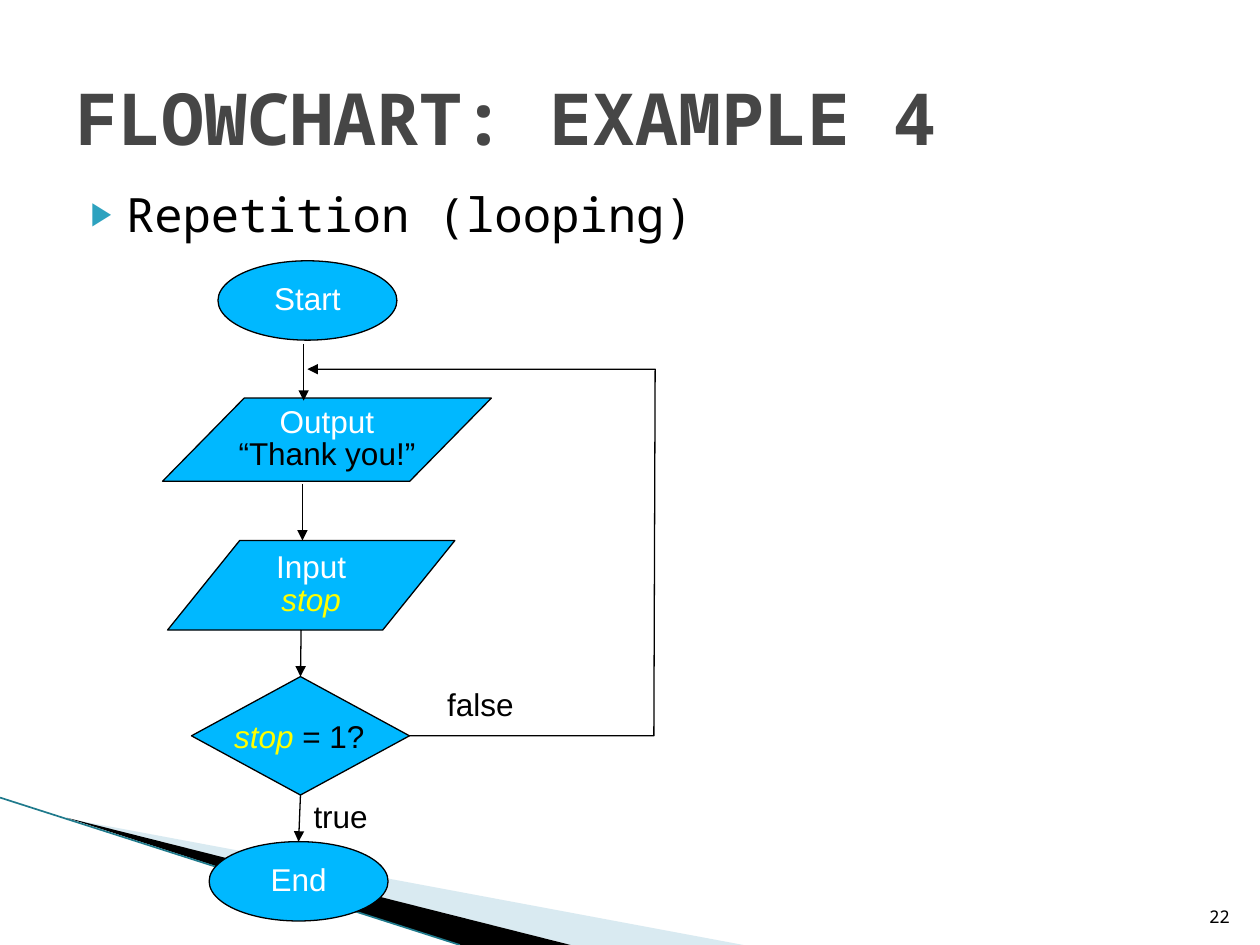
from lxml import etree
from pptx import Presentation
from pptx.dml.color import RGBColor
from pptx.enum.shapes import MSO_CONNECTOR, MSO_SHAPE
from pptx.enum.text import MSO_ANCHOR, PP_ALIGN
from pptx.oxml.ns import qn
from pptx.util import Inches, Pt

STRAIGHT = MSO_CONNECTOR.STRAIGHT
OVAL, DIAMOND, PARALLELOGRAM = MSO_SHAPE.OVAL, MSO_SHAPE.DIAMOND, MSO_SHAPE.PARALLELOGRAM
LEFT, CENTER, RIGHT = PP_ALIGN.LEFT, PP_ALIGN.CENTER, PP_ALIGN.RIGHT
MIDDLE, BOTTOM, TOP = MSO_ANCHOR.MIDDLE, MSO_ANCHOR.BOTTOM, MSO_ANCHOR.TOP
BLACK = RGBColor(0x00, 0x00, 0x00)
WHITE = RGBColor(0xFF, 0xFF, 0xFF)
YELLOW = RGBColor(0xFF, 0xFF, 0x00)
BLUE = RGBColor(0x00, 0xB8, 0xFF)
GREY = RGBColor(0x46, 0x46, 0x46)
PALE_BLUE = RGBColor(0xA0, 0xCB, 0xDC)
TEAL = RGBColor(0x1F, 0x7A, 0x8C)
MONO, SANS = "Noto Sans Mono", "Arial"


def add_run(paragraph, text, font, size, color, bold=False, italic=False):
    run = paragraph.add_run()
    run.text = text
    run.font.name = font
    run.font.size = Pt(size)
    run.font.color.rgb = color
    run.font.bold = bold
    run.font.italic = italic


def style_line(shape, color, width, arrow=False):
    shape.line.color.rgb = color
    shape.line.width = Pt(width)
    properties = shape._element.spPr
    if arrow:
        etree.SubElement(properties.find(qn("a:ln")), qn("a:tailEnd"), type="triangle")
    if properties.find(qn("a:effectLst")) is None:
        etree.SubElement(properties, qn("a:effectLst"))


presentation = Presentation()
presentation.slide_width = Inches(10)
presentation.slide_height = Inches(7.5)
slide = presentation.slides.add_slide(presentation.slide_layouts[1])
shapes = slide.shapes

title = shapes.title
title.left, title.top, title.width, title.height = Inches(0.5), Inches(0.3), Inches(9), Inches(1.25)
title.text_frame.vertical_anchor = MIDDLE
paragraph = title.text_frame.paragraphs[0]
paragraph.alignment = LEFT
add_run(paragraph, "FLOWCHART: EXAMPLE 4", MONO, 41, GREY, bold=True)

body = slide.placeholders[1]
body.left, body.top, body.width, body.height = Inches(0.5), Inches(1.42), Inches(9), Inches(4.95)
body.text_frame.vertical_anchor = TOP
paragraph = body.text_frame.paragraphs[0]
paragraph.space_before = Pt(4)
add_run(paragraph, "Repetition (looping)", MONO, 27, BLACK)
bullet = paragraph._p.get_or_add_pPr()
bullet.set("marL", str(Inches(0.4)))
bullet.set("indent", str(Inches(-0.28)))
bullet_color = etree.SubElement(bullet, qn("a:buClr"))
etree.SubElement(bullet_color, qn("a:srgbClr"), val="2DA2BF")
etree.SubElement(bullet, qn("a:buSzPct"), val="68000")
etree.SubElement(bullet, qn("a:buChar"), char="▶")

wedges = [
    ([(0.55, 6.5), (5.9, 7.5), (4.53, 7.5)], PALE_BLUE, 40),
    ([(0.53, 6.49), (4.53, 7.5), (3.65, 7.5)], BLACK, 100),
]
for points, color, opacity in wedges:
    corners = [(Inches(x), Inches(y)) for x, y in points]
    builder = shapes.build_freeform(*corners[0])
    builder.add_line_segments(corners[1:], close=True)
    wedge = builder.convert_to_shape()
    wedge.shadow.inherit = False
    wedge.fill.solid()
    wedge.fill.fore_color.rgb = color
    wedge.line.fill.background()
    if opacity < 100:
        fill_color = wedge._element.spPr.find(qn("a:solidFill"))[0]
        etree.SubElement(fill_color, qn("a:alpha"), val=str(opacity * 1000))

edge = shapes.add_connector(STRAIGHT, Inches(0), Inches(6.33), Inches(3.65), Inches(7.5))
style_line(edge, TEAL, 0.95)

number = shapes.add_textbox(Inches(9.46), Inches(7.01), Inches(0.4), Inches(0.4))
number.text_frame.word_wrap = True
number.text_frame.vertical_anchor = BOTTOM
paragraph = number.text_frame.paragraphs[0]
paragraph.alignment = RIGHT
add_run(paragraph, "22", MONO, 10, BLACK)

steps = [
    (OVAL, 1.73, 2.07, 1.42, 0.63, None, [("Start", WHITE, False)]),
    (PARALLELOGRAM, 1.29, 3.16, 2.61, 0.66, 0.982,
     [("Output", WHITE, False), ("“Thank you!”", BLACK, False)]),
    (PARALLELOGRAM, 1.33, 4.29, 2.28, 0.71, 0.806,
     [("Input", WHITE, False), ("stop", YELLOW, True)]),
    (DIAMOND, 1.52, 5.37, 1.73, 0.94, None, []),
    (OVAL, 1.66, 6.68, 1.42, 0.63, None, [("End", WHITE, False)]),
]
for kind, left, top, width, height, slant, lines in steps:
    step = shapes.add_shape(kind, Inches(left), Inches(top), Inches(width), Inches(height))
    step.shadow.inherit = False
    step.fill.solid()
    step.fill.fore_color.rgb = BLUE
    style_line(step, BLACK, 0.75)
    if slant:
        step.adjustments[0] = slant
    if kind == DIAMOND:
        decision = step
    frame = step.text_frame
    frame.word_wrap = False
    frame.vertical_anchor = MIDDLE
    for index, (text, color, italic) in enumerate(lines):
        paragraph = frame.add_paragraph() if index else frame.paragraphs[0]
        paragraph.alignment = CENTER
        paragraph.line_spacing = 0.87
        add_run(paragraph, text, SANS, 18, color, italic=italic)

labels = [
    (1.76, 5.68, 1.24, [("stop", YELLOW, True), (" = 1?", BLACK, False)]),
    (3.45, 5.43, 0.73, [("false", BLACK, False)]),
    (2.39, 6.32, 0.63, [("true", BLACK, False)]),
]
for left, top, width, runs in labels:
    label = shapes.add_textbox(Inches(left), Inches(top), Inches(width), Inches(0.36))
    label.text_frame.word_wrap = False
    paragraph = label.text_frame.paragraphs[0]
    paragraph.line_spacing = 0.87
    for text, color, italic in runs:
        add_run(paragraph, text, SANS, 18, color, italic=italic)

arrows = []
for x, top, bottom in [(2.41, 2.73, 3.18), (2.4, 3.84, 4.29), (2.39, 5, 5.37), (2.37, 6.31, 6.68)]:
    arrow = shapes.add_connector(STRAIGHT, Inches(x), Inches(top), Inches(x), Inches(bottom))
    style_line(arrow, BLACK, 0.75, arrow=True)
    arrows.append(arrow)
arrows[2].end_connect(decision, 0)
arrows[3].begin_connect(decision, 2)

loop_points = [(Inches(x), Inches(y)) for x, y in [(3.25, 5.84), (5.19, 5.84), (5.2, 2.93), (2.44, 2.93)]]
builder = shapes.build_freeform(*loop_points[0])
builder.add_line_segments(loop_points[1:], close=False)
loop = builder.convert_to_shape()
loop.shadow.inherit = False
loop.fill.background()
style_line(loop, BLACK, 0.75, arrow=True)

presentation.save("out.pptx")
